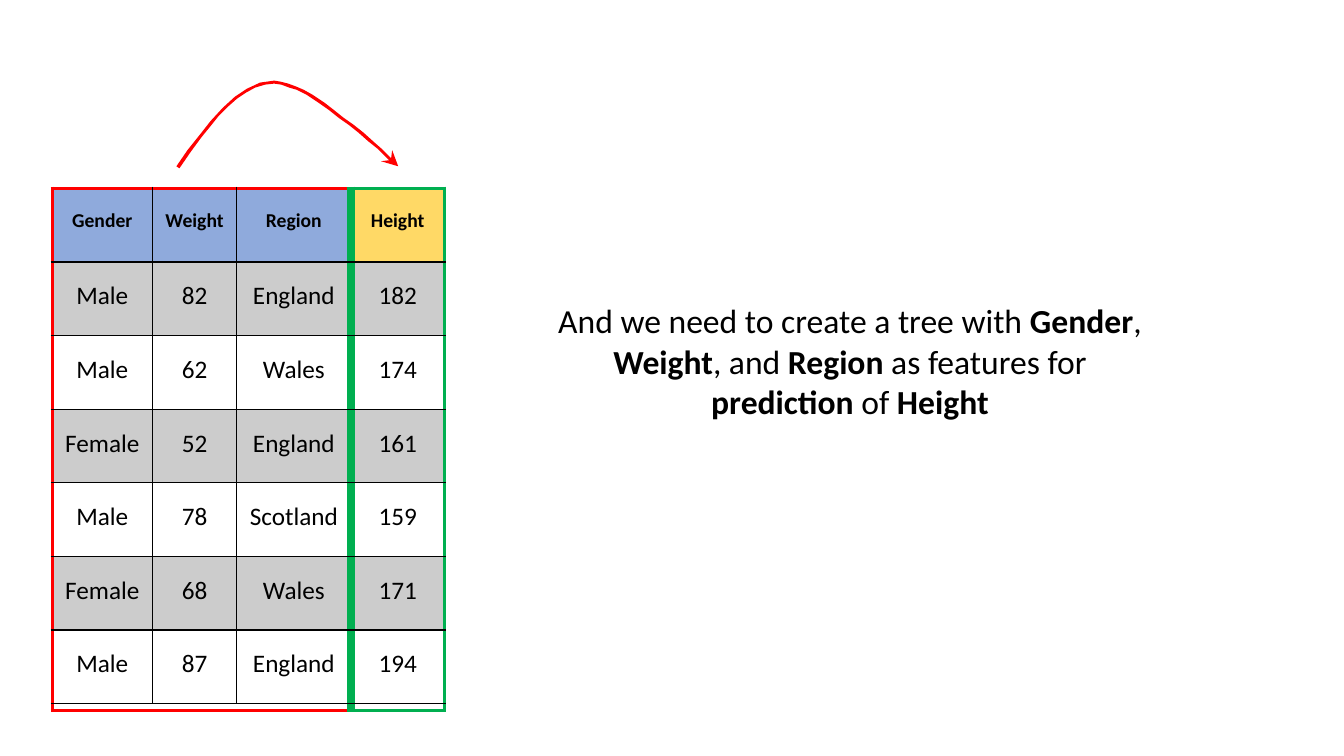
"""Builds a slide with a feature table, a prediction arrow and a title."""
import dataclasses

import lxml.etree
import pptx
import pptx.dml.color
import pptx.enum.text
import pptx.oxml.ns
import pptx.util

PX = 9144


@dataclasses.dataclass(frozen=True)
class Theme:
    """Colours, font and type sizes in points."""
    font: str = "Calibri"
    ink: str = "000000"
    feature: str = "FF0000"
    target: str = "00AF50"
    feature_head: str = "8FAADC"
    target_head: str = "FFD966"
    band: str = "CCCCCC"
    title_size: int = 24
    head_size: int = 14
    body_size: int = 18


class SlideBuilder:
    """Holds the theme and the current slide."""

    def __init__(self, prs, theme):
        self.theme = theme
        self.s = prs.slides.add_slide(prs.slide_layouts[5])

    def rgb(self, color):
        """Returns a colour from its hex code."""
        return pptx.dml.color.RGBColor.from_string(color)

    def style(self, p, size, bold=None):
        """Centres a paragraph and sets its font."""
        p.alignment = pptx.enum.text.PP_ALIGN.CENTER
        p.font.name = self.theme.font
        p.font.size = pptx.util.Pt(size)
        p.font.bold = bold
        p.font.color.rgb = self.rgb(self.theme.ink)

    def title(self, x, y, w, h, runs):
        """Places the title with runs of (text, bold)."""
        sp = self.s.shapes.title
        sp.left, sp.top, sp.width, sp.height = (v * PX for v in (x, y, w, h))
        tf = sp.text_frame
        tf.word_wrap = True
        tf.auto_size = pptx.enum.text.MSO_AUTO_SIZE.NONE
        tf.vertical_anchor = pptx.enum.text.MSO_ANCHOR.TOP
        tf.margin_left = tf.margin_right = tf.margin_bottom = 0
        tf.margin_top = 2 * PX
        p = tf.paragraphs[0]
        self.style(p, self.theme.title_size)
        for text, bold in runs:
            r = p.add_run()
            r.text = text
            r.font.bold = bold

    def outline(self, points, color):
        """Draws a filled closed outline."""
        fb = self.s.shapes.build_freeform(*points[0], scale=PX)
        fb.add_line_segments(points[1:], close=True)
        sp = fb.convert_to_shape()
        sp.shadow.inherit = False
        sp.fill.solid()
        sp.fill.fore_color.rgb = self.rgb(color)
        sp.line.fill.background()

    def border(self, cell, side, color, width):
        """Adds one cell border, or none when the width is zero."""
        qn = pptx.oxml.ns.qn
        tc_pr = cell._tc.get_or_add_tcPr()
        ln = lxml.etree.SubElement(tc_pr, qn(f"a:ln{side}"), w=str(pptx.util.Pt(width)))
        if not width:
            lxml.etree.SubElement(ln, qn("a:noFill"))
            return
        fill = lxml.etree.SubElement(ln, qn("a:solidFill"))
        lxml.etree.SubElement(fill, qn("a:srgbClr"), val=color)

    def cell_borders(self, cell, row, col, last_row, last_col):
        """Frames features and target, with thin rules inside."""
        t = self.theme
        frame = (t.target if col == last_col else t.feature, 3)
        thin, divider = (t.ink, 1), (t.target, 6)
        inner = (t.ink, 0) if row == last_row else thin
        left = {0: frame, last_col: divider}.get(col, inner)
        right = {last_col - 1: divider, last_col: frame}.get(col, inner)
        top = {0: frame, 1: (t.ink, 2.25)}.get(row, thin)
        bottom = {0: (t.ink, 2.25), last_row: frame}.get(row, thin)
        for side, line in zip("LRTB", (left, right, top, bottom)):
            self.border(cell, side, *line)

    def table(self, x, y, widths, heights, rows):
        """Adds the table; its last column is the target."""
        t = self.theme
        last_row, last_col = len(heights) - 1, len(widths) - 1
        frame = self.s.shapes.add_table(len(heights), len(widths), x * PX, y * PX,
                                        sum(widths) * PX, sum(heights) * PX)
        tbl = frame.table
        tbl.first_row = tbl.horz_banding = False
        style_id = tbl._tbl.tblPr.find(pptx.oxml.ns.qn("a:tableStyleId"))
        style_id.text = "{2D5ABB26-0587-4C30-8999-92F81FD0307C}"
        for column, width in zip(tbl.columns, widths):
            column.width = width * PX
        for row, height in enumerate(heights):
            tbl.rows[row].height = height * PX
            for col in range(len(widths)):
                cell = tbl.cell(row, col)
                self.cell_borders(cell, row, col, last_row, last_col)
                cell.margin_left = cell.margin_right = cell.margin_top = 0
                cell.margin_bottom = 0 if row == last_row else 5
                cell.vertical_anchor = pptx.enum.text.MSO_ANCHOR.MIDDLE
                p = cell.text_frame.paragraphs[0]
                if row == last_row:
                    self.style(p, 1)
                    p._p.get_or_add_endParaRPr().set("sz", "100")
                    cell.fill.background()
                    continue
                cell.margin_bottom = (5 if row else 8) * PX
                p.text = rows[row][col]
                self.style(p, t.body_size if row else t.head_size, row == 0)
                if row and row % 2 == 0:
                    cell.fill.background()
                    continue
                head = t.target_head if col == last_col else t.feature_head
                cell.fill.solid()
                cell.fill.fore_color.rgb = self.rgb(t.band if row else head)


ROWS = [
    ("Gender", "Weight", "Region", "Height"),
    ("Male", "82", "England", "182"),
    ("Male", "62", "Wales", "174"),
    ("Female", "52", "England", "161"),
    ("Male", "78", "Scotland", "159"),
    ("Female", "68", "Wales", "171"),
    ("Male", "87", "England", "194"),
]

TITLE = [
    ("And we need to create a tree with ", False), ("Gender", True),
    (", ", False), ("Weight", True), (", and ", False), ("Region ", True),
    ("as features for ", False), ("prediction ", True), ("of ", False),
    ("Height", True),
]

ARROW_UPPER = [
    (175, 165), (186, 149), (198, 134), (209, 120), (221, 107), (233, 96),
    (245, 88), (258, 82), (272, 80), (278, 81), (286, 83), (294, 86),
    (301, 89), (310, 94), (322, 102), (331, 109), (341, 117), (351, 124),
    (361, 132), (371, 141), (379, 148), (388, 157),
]
ARROW_HEAD = [(389, 149), (395, 165), (378, 160), (386, 159)]
ARROW_LOWER = [
    (375, 148), (365, 140), (356, 132), (346, 124), (336, 117), (326, 109),
    (316, 102), (304, 94), (294, 89), (287, 87), (279, 84), (272, 83),
    (263, 84), (253, 87), (244, 92), (235, 98), (226, 106), (217, 115),
    (209, 125), (200, 136), (189, 151), (178, 167),
]


def main():
    """Builds and saves the slide."""
    prs = pptx.Presentation()
    prs.slide_width, prs.slide_height = 1333 * PX, 750 * PX
    theme = Theme()
    slide = SlideBuilder(prs, theme)
    slide.table(52, 187, [99, 84, 113, 93], [73] * len(ROWS) + [7], ROWS)
    slide.outline(ARROW_UPPER + ARROW_HEAD + ARROW_LOWER, theme.feature)
    slide.title(550, 296, 586, 123, TITLE)
    prs.save("out.pptx")


if __name__ == "__main__":
    main()
